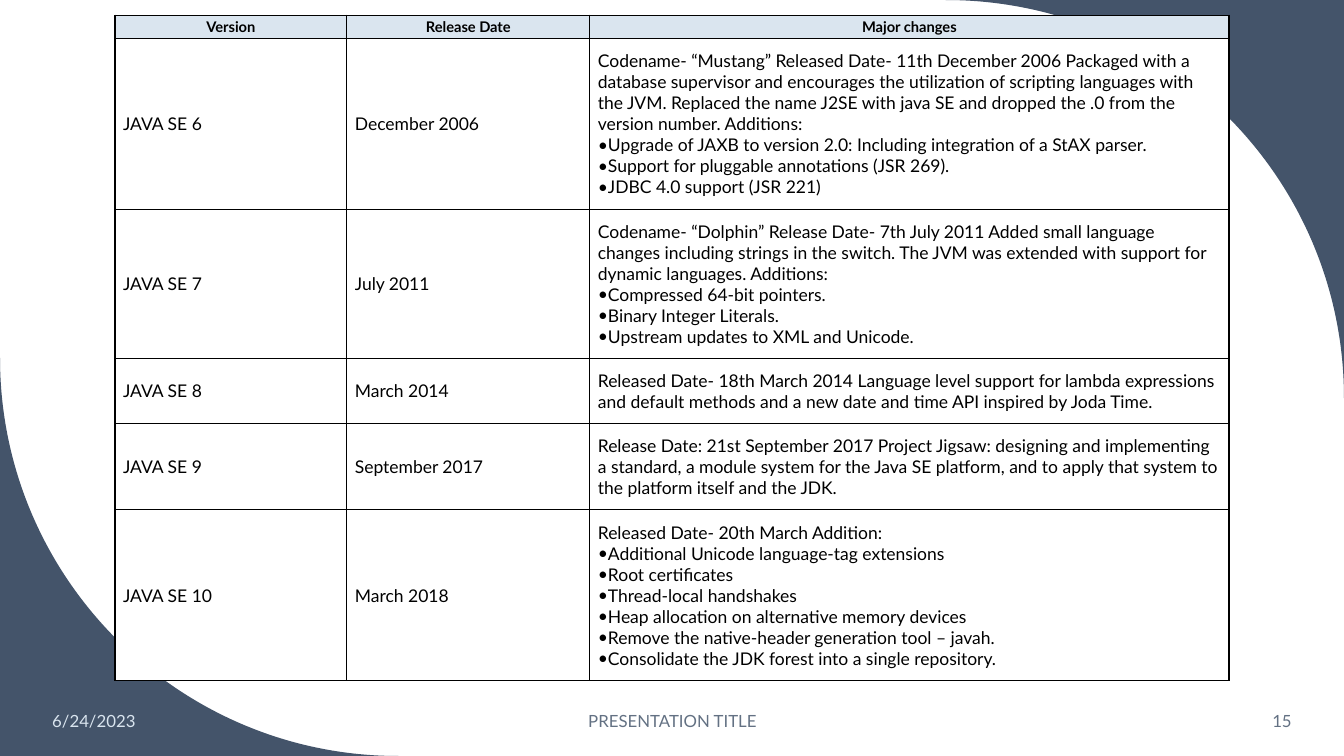
"""Build a slide with a table of Java SE 6 to 10 releases."""
from dataclasses import dataclass

from lxml.etree import SubElement
from pptx import Presentation
from pptx.dml.color import RGBColor
from pptx.enum.text import MSO_ANCHOR, PP_ALIGN
from pptx.oxml import parse_xml
from pptx.oxml.ns import nsdecls, qn
from pptx.slide import Slide
from pptx.table import Table, _Cell
from pptx.text.text import _Paragraph
from pptx.util import Inches, Pt

FONT = "Lato"
WHITE = RGBColor(0xFF, 0xFF, 0xFF)
BLACK = RGBColor(0x00, 0x00, 0x00)
SLATE = RGBColor(0x44, 0x54, 0x6A)
PALE_BLUE = RGBColor(0xDA, 0xE5, 0xEF)
GREY_BLUE = RGBColor(0x63, 0x71, 0x83)

COLUMN_WIDTHS = (2.3, 2.41, 6.34)
HEADER_HEIGHT = 0.23
HEADINGS = ("Version", "Release Date", "Major changes")


@dataclass(frozen=True)
class Corner:
    """A slide corner outside a curve given by its start, two controls and end."""
    tip: tuple[float, float]
    curve: tuple[tuple[float, float], ...]


@dataclass(frozen=True)
class Footer:
    """A line of footer text."""
    text: str
    left: float
    width: float
    alignment: PP_ALIGN
    color: RGBColor


@dataclass(frozen=True)
class Release:
    """A table row for one Java release."""
    version: str
    date: str
    height: float
    summary: str
    additions: tuple[str, ...] = ()


CORNERS = (
    Corner((13.33, 0), ((9.38, 0), (11.57, 0), (13.33, 1.77), (13.33, 3.95))),
    Corner((0, 7.5), ((3.95, 7.5), (1.77, 7.5), (0, 5.73), (0, 3.55))),
)
FOOTERS = (
    Footer("6/24/2023", 0.42, 1.86, PP_ALIGN.LEFT, PALE_BLUE),
    Footer("PRESENTATION TITLE", 4.42, 4.5, PP_ALIGN.CENTER, GREY_BLUE),
    Footer("15", 11.1, 1.81, PP_ALIGN.RIGHT, GREY_BLUE),
)
RELEASES = (
    Release(
        "JAVA SE 6", "December 2006", 1.69,
        "Codename- “Mustang” Released Date- 11th December 2006 Packaged with a database "
        "supervisor and encourages the utilization of scripting languages with the JVM. "
        "Replaced the name J2SE with java SE and dropped the .0 from the version number. "
        "Additions:",
        ("Upgrade of JAXB to version 2.0: Including integration of a StAX parser.",
         "Support for pluggable annotations (JSR 269).",
         "JDBC 4.0 support (JSR 221)"),
    ),
    Release(
        "JAVA SE 7", "July 2011", 1.48,
        "Codename- “Dolphin” Release Date- 7th July 2011 Added small language changes "
        "including strings in the switch. The JVM was extended with support for dynamic "
        "languages. Additions:",
        ("Compressed 64-bit pointers.",
         "Binary Integer Literals.",
         "Upstream updates to XML and Unicode."),
    ),
    Release(
        "JAVA SE 8", "March 2014", 0.65,
        "Released Date- 18th March 2014 Language level support for lambda expressions and "
        "default methods and a new date and time API inspired by Joda Time.",
    ),
    Release(
        "JAVA SE 9", "September 2017", 0.85,
        "Release Date: 21st September 2017 Project Jigsaw: designing and implementing a "
        "standard, a module system for the Java SE platform, and to apply that system to "
        "the platform itself and the JDK.",
    ),
    Release(
        "JAVA SE 10", "March 2018", 1.7,
        "Released Date- 20th March Addition:",
        ("Additional Unicode language-tag extensions",
         "Root certificates",
         "Thread-local handshakes",
         "Heap allocation on alternative memory devices",
         "Remove the native-header generation tool – javah.",
         "Consolidate the JDK forest into a single repository."),
    ),
)


def style_paragraph(paragraph: _Paragraph, size: float, color: RGBColor,
                    alignment: PP_ALIGN, bold: bool = False) -> None:
    paragraph.alignment = alignment
    paragraph.font.name = FONT
    paragraph.font.size = Pt(size)
    paragraph.font.bold = bold
    paragraph.font.color.rgb = color


def add_bullet(paragraph: _Paragraph) -> None:
    properties = paragraph._p.get_or_add_pPr()
    properties.set("marL", "0")
    properties.set("indent", "0")
    properties.insert(0, parse_xml(f'<a:buFont {nsdecls("a")} typeface="{FONT}"/>'))
    properties.insert(1, parse_xml(f'<a:buChar {nsdecls("a")} char="•"/>'))


def add_borders(cell: _Cell) -> None:
    properties = cell._tc.get_or_add_tcPr()
    for index, side in enumerate(("lnL", "lnR", "lnT", "lnB")):
        line = parse_xml(f'<a:{side} {nsdecls("a")} w="{Pt(1)}"/>')
        fill = SubElement(line, qn("a:solidFill"))
        SubElement(fill, qn("a:srgbClr"), val=str(BLACK))
        properties.insert(index, line)


def fill_cell(cell: _Cell, lines: tuple[str, ...], header: bool = False) -> None:
    cell.fill.solid()
    cell.fill.fore_color.rgb = PALE_BLUE if header else WHITE
    add_borders(cell)
    cell.vertical_anchor = MSO_ANCHOR.MIDDLE
    cell.margin_left = cell.margin_right = Inches(0.03 if header else 0.08)
    cell.margin_top = cell.margin_bottom = Inches(0.03 if header else 0.11)
    cell.text = "\n".join(lines)
    for index, paragraph in enumerate(cell.text_frame.paragraphs):
        style_paragraph(paragraph, 10.5 if header else 12.5, BLACK,
                        PP_ALIGN.CENTER if header else PP_ALIGN.LEFT, header)
        if index:
            add_bullet(paragraph)


def draw_corner(slide: Slide, corner: Corner) -> None:
    builder = slide.shapes.build_freeform(*(Inches(value) for value in corner.tip))
    builder.add_line_segments([(Inches(x), Inches(y)) for x, y in corner.curve], close=True)
    shape = builder.convert_to_shape()
    curve_segments = list(shape._element.iter(qn("a:lnTo")))[1:4]
    bezier = parse_xml(f'<a:cubicBezTo {nsdecls("a")}/>')
    curve_segments[0].addprevious(bezier)
    for segment in curve_segments:
        bezier.append(segment[0])
        segment.getparent().remove(segment)
    shape.shadow.inherit = False
    shape.fill.solid()
    shape.fill.fore_color.rgb = SLATE
    shape.line.fill.background()


def draw_footer(slide: Slide, footer: Footer) -> None:
    box = slide.shapes.add_textbox(
        Inches(footer.left), Inches(6.95), Inches(footer.width), Inches(0.4))
    frame = box.text_frame
    frame.word_wrap = True
    frame.vertical_anchor = MSO_ANCHOR.MIDDLE
    frame.text = footer.text
    style_paragraph(frame.paragraphs[0], 12, footer.color, footer.alignment)


def draw_releases(slide: Slide) -> None:
    heights = (HEADER_HEIGHT, *(release.height for release in RELEASES))
    table: Table = slide.shapes.add_table(
        len(heights), len(COLUMN_WIDTHS), Inches(1.14), Inches(0.15),
        Inches(sum(COLUMN_WIDTHS)), Inches(sum(heights))).table
    table.first_row = table.horz_banding = False
    for column, width in zip(table.columns, COLUMN_WIDTHS):
        column.width = Inches(width)
    for row, height in zip(table.rows, heights):
        row.height = Inches(height)
    for column, heading in enumerate(HEADINGS):
        fill_cell(table.cell(0, column), (heading,), header=True)
    for row, release in enumerate(RELEASES, start=1):
        contents = ((release.version,), (release.date,), (release.summary, *release.additions))
        for column, lines in enumerate(contents):
            fill_cell(table.cell(row, column), lines)


def main() -> None:
    presentation = Presentation()
    presentation.slide_width = Inches(13.33)
    presentation.slide_height = Inches(7.5)
    slide = presentation.slides.add_slide(presentation.slide_layouts[6])
    for corner in CORNERS:
        draw_corner(slide, corner)
    for footer in FOOTERS:
        draw_footer(slide, footer)
    draw_releases(slide)
    presentation.save("out.pptx")


if __name__ == "__main__":
    main()
